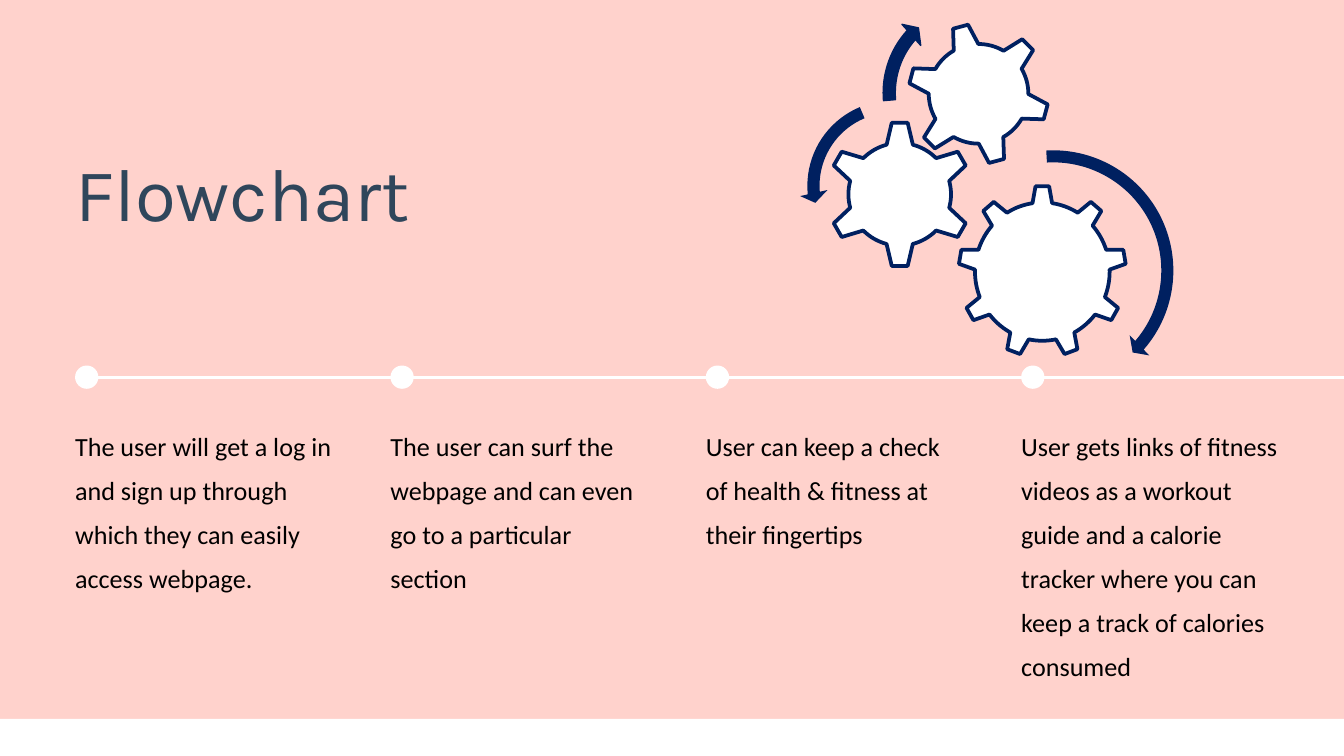
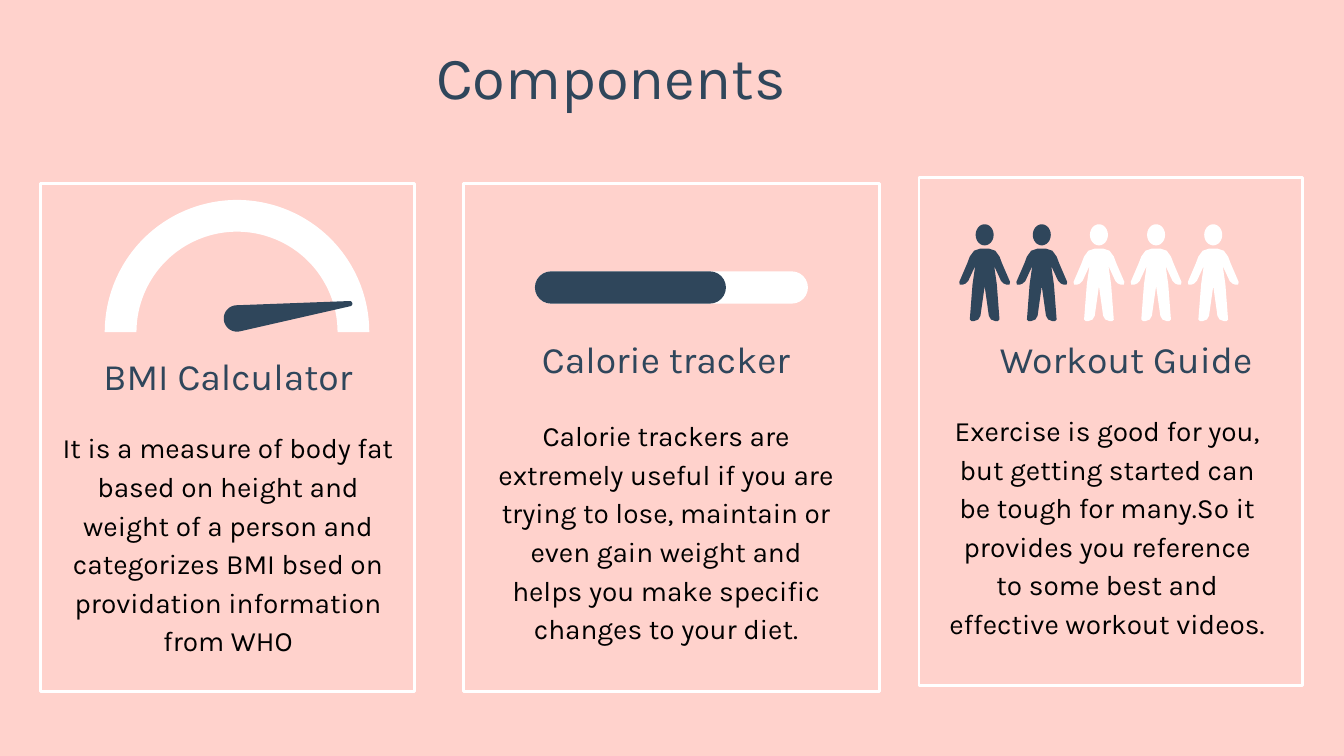
from math import cos, radians, sin

from lxml import etree
from pptx import Presentation
from pptx.dml.color import RGBColor
from pptx.enum.shapes import MSO_CONNECTOR, MSO_SHAPE as Preset
from pptx.enum.text import MSO_AUTO_SIZE as AutoSize, PP_ALIGN as Align
from pptx.oxml.ns import qn
from pptx.util import Cm, Pt

PINK = RGBColor(0xFF, 0xD2, 0xCC)
WHITE = RGBColor(0xFF, 0xFF, 0xFF)
BLACK = RGBColor(0x00, 0x00, 0x00)
SLATE = RGBColor(0x2F, 0x46, 0x5B)
NAVY = RGBColor(0x00, 0x20, 0x60)
TITLE_FONT = "Karla"
STEP_FONT = "Calibri"
WIDTH, HEIGHT = 25.4, 14.29

STEPS = [
    ("The user will get a log in and sign up through which they can easily access webpage.", 3.76),
    ("The user can surf the webpage and can even go to a particular section", 3.76),
    ("User can keep a check of health & fitness at their fingertips", 2.92),
    ("User gets links of fitness videos as a workout guide and a calorie tracker "
     "where you can keep a track of calories consumed", 5.87),
]
STEP_LEFT, STEP_PITCH, STEP_WIDTH, STEP_TOP = 1.42, 5.96, 4.95, 7.9
TIMELINE_Y, TIMELINE_END, DOT = 7.13, 26.26, 0.44

GEARS = [
    (Preset.GEAR_9, (18.11, 3.51, 3.18, 3.25), 0),
    (Preset.GEAR_6, (15.62, 2.29, 2.77, 2.77), 0),
    (Preset.GEAR_6, (17.15, 0.43, 2.69, 2.69), 345),
]
GEAR_ARROWS = [
    (Preset.CIRCULAR_ARROW, (17.48, 2.69, 4.85, 4.85), (0.047, 2.99, 24.537, 160.032, 0.055), 0),
    (Preset.LEFT_CIRCULAR_ARROW, (15.11, 1.75, 3.53, 3.53), (0.065, 4.3, 104.891, 148.378, 0.075), 0),
    (Preset.CIRCULAR_ARROW, (16.54, -0.15, 3.81, 3.81), (0.06, 3.941, 133.138, 105.082, 0.07), 0.75),
]

CARDS = [
    {
        "frame": (0.74, 3.45, 7.11, 9.65),
        "heading": ("BMI Calculator", (1.12, 6.6, 6.38, 1.07)),
        "body": ("It is a measure of body fat based on height and weight of a person and "
                 "categorizes BMI bsed on providation information from WHO",
                 (1.12, 8.05, 6.38, 5.05)),
    },
    {
        "frame": (8.74, 3.45, 7.9, 9.65),
        "heading": ("Calorie tracker", (9.4, 6.27, 6.38, 1.14)),
        "body": ("Calorie trackers are extremely useful if you are trying to lose, maintain or "
                 "even gain weight and helps you make specific changes to your diet.",
                 (9.4, 7.82, 6.38, 6.3)),
    },
    {
        "frame": (17.35, 3.33, 7.29, 9.65),
        "heading": ("Workout Guide", (18.29, 6.27, 5.99, 0.76)),
        "body": ("Exercise is good for you, but getting started can be tough for many."
                 "So it provides you reference to some best and effective workout videos.",
                 (17.93, 7.72, 5.99, 4.17)),
    },
]
GAUGE = (1.98, 3.78, 5, 5)
BAR_LEFT, BAR_TOP, BAR_HEIGHT = 10.11, 5.13, 0.61
BAR_WIDTHS = [(5.16, WHITE), (3.61, SLATE)]
PEOPLE_LEFT, PEOPLE_TOP, PEOPLE_PITCH = 18.61, 4.24, 1.08
PEOPLE_GROUPS = [(range(0, 2), SLATE), (range(2, 5), WHITE)]
HALF_BODY = [
    (0.08, 0.46), (0.2, 0.5), (0.28, 0.61), (0.33, 0.74), (0.48, 1.09),
    (0.47, 1.14), (0.41, 1.14), (0.36, 1.12), (0.31, 1.07), (0.18, 0.79),
    (0.23, 1.14), (0.28, 1.8), (0.25, 1.83), (0.2, 1.83), (0.12, 1.8),
    (0.08, 1.73), (0, 1.17),
]


def new_slide(presentation):
    slide = presentation.slides.add_slide(presentation.slide_layouts[6])
    slide.background.fill.solid()
    slide.background.fill.fore_color.rgb = PINK
    return slide


def paint(shape, fill, line=None, weight=0):
    shape.shadow.inherit = False
    if fill is None:
        shape.fill.background()
    else:
        shape.fill.solid()
        shape.fill.fore_color.rgb = fill
    if weight:
        shape.line.color.rgb = line
        shape.line.width = Pt(weight)
    else:
        shape.line.fill.background()


def add_preset(slide, preset, box, fill, line=None, weight=0, adjustments=()):
    shape = slide.shapes.add_shape(preset, *map(Cm, box))
    for index, value in enumerate(adjustments):
        shape.adjustments[index] = value
    paint(shape, fill, line, weight)
    return shape


def add_text(slide, text, box, size, color, font=TITLE_FONT, align=Align.LEFT, spacing=1.0):
    frame = slide.shapes.add_textbox(*map(Cm, box)).text_frame
    frame.margin_left = frame.margin_top = frame.margin_right = frame.margin_bottom = 0
    frame.word_wrap = True
    frame.auto_size = AutoSize.SHAPE_TO_FIT_TEXT
    paragraph = frame.paragraphs[0]
    paragraph.text = text
    paragraph.alignment = align
    paragraph.line_spacing = spacing
    paragraph.font.name = font
    paragraph.font.size = Pt(size)
    paragraph.font.color.rgb = color


def add_outline(slide, contours, fill):
    contours = [[(Cm(x), Cm(y)) for x, y in contour] for contour in contours]
    builder = slide.shapes.build_freeform(*contours[0][0], scale=1.0)
    for index, contour in enumerate(contours):
        if index:
            builder.move_to(*contour[0])
        builder.add_line_segments(contour[1:], close=True)
    paint(builder.convert_to_shape(), fill)


def arc(center_x, center_y, radius_x, radius_y, start, end, steps=24):
    angles = [radians(start + (end - start) * step / steps) for step in range(steps + 1)]
    return [(center_x + radius_x * cos(a), center_y + radius_y * sin(a)) for a in angles]


def person(index):
    center = PEOPLE_LEFT + index * PEOPLE_PITCH
    right = [(center + x, PEOPLE_TOP + y) for x, y in HALF_BODY]
    left = [(2 * center - x, y) for x, y in reversed(right[:-1])]
    return [arc(center, PEOPLE_TOP + 0.2, 0.17, 0.2, 0, 360), right + left]


def build_flowchart(presentation):
    slide = new_slide(presentation)
    timeline = slide.shapes.add_connector(
        MSO_CONNECTOR.STRAIGHT, Cm(STEP_LEFT), Cm(TIMELINE_Y), Cm(TIMELINE_END), Cm(TIMELINE_Y))
    timeline.line.color.rgb = WHITE
    timeline.line.width = Pt(1.5)
    etree.SubElement(timeline._element.spPr, qn("a:effectLst"))

    add_text(slide, "Flowchart", (STEP_LEFT, 2.77, 18.62, 1.7), 40, SLATE)
    for index, (text, height) in enumerate(STEPS):
        left = STEP_LEFT + index * STEP_PITCH
        add_preset(slide, Preset.OVAL, (left, TIMELINE_Y - DOT / 2, DOT, DOT), WHITE)
        add_text(slide, text, (left, STEP_TOP, STEP_WIDTH, height), 14, BLACK, STEP_FONT, spacing=1.4)

    add_preset(slide, Preset.RECTANGLE, (0, 13.59, WIDTH, HEIGHT - 13.59), WHITE)
    for preset, box, rotation in GEARS:
        add_preset(slide, preset, box, WHITE, NAVY, 2).rotation = rotation
    for preset, box, adjustments, weight in GEAR_ARROWS:
        add_preset(slide, preset, box, NAVY, NAVY, weight, adjustments)


def build_components(presentation):
    slide = new_slide(presentation)
    add_text(slide, "Components", (6.98, 0.61, 9.14, 1.5), 32, SLATE, align=Align.CENTER, spacing=1.1)
    for card in CARDS:
        left, top, width, height = card["frame"]
        inset = 0.02
        add_preset(slide, Preset.RECTANGLE,
                   (left + inset, top + inset, width - 2 * inset, height - 2 * inset),
                   None, WHITE, 1.5)
        add_text(slide, *card["body"], 15, BLACK, align=Align.CENTER, spacing=1.15)
        add_text(slide, *card["heading"], 20, SLATE, align=Align.CENTER, spacing=1.1)

    add_preset(slide, Preset.BLOCK_ARC, GAUGE, WHITE, adjustments=(108, 0, 0.12))
    needle = arc(4.48, 6.02, 0.25, 0.25, 78, 268) + arc(6.61, 5.74, 0.05, 0.05, -92, 78)
    add_outline(slide, [needle], SLATE)

    for width, color in BAR_WIDTHS:
        add_preset(slide, Preset.ROUNDED_RECTANGLE, (BAR_LEFT, BAR_TOP, width, BAR_HEIGHT),
                   color, adjustments=(0.5,))
    for members, color in PEOPLE_GROUPS:
        add_outline(slide, [contour for index in members for contour in person(index)], color)


def main():
    presentation = Presentation()
    presentation.slide_width = Cm(WIDTH)
    presentation.slide_height = Cm(HEIGHT)
    build_flowchart(presentation)
    build_components(presentation)
    presentation.save("out.pptx")


if __name__ == "__main__":
    main()
